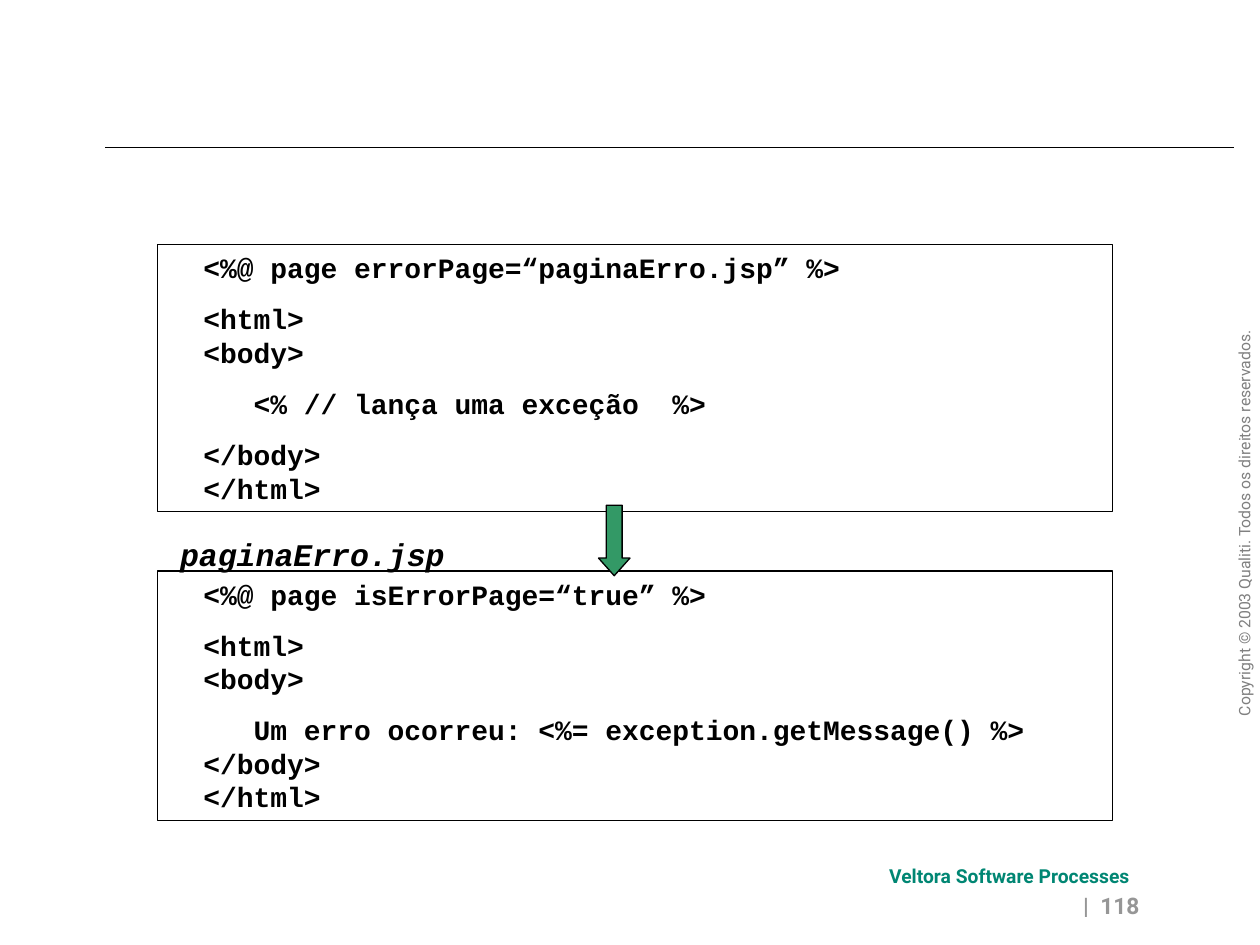
"""Build the slide about error pages in JSP."""
from lxml.etree import SubElement
from pptx import Presentation
from pptx.dml.color import RGBColor
from pptx.enum.shapes import MSO_CONNECTOR as Connector, MSO_SHAPE as Preset
from pptx.enum.text import MSO_AUTO_SIZE as AutoSize, MSO_ANCHOR as Anchor, PP_ALIGN as Align
from pptx.oxml.ns import qn
from pptx.util import Pt

CODE = {"name": "Courier New", "size": Pt(16), "bold": True}
CODE_SPACING = {"line_spacing": Pt(19.2)}
FILE_NAME = {"name": "Courier New", "size": Pt(18), "bold": True, "italic": True}
COPYRIGHT = {"name": "Roboto", "size": Pt(9)}
COMPANY = {"name": "Roboto", "size": Pt(11), "bold": True}
NUMBER = {"name": "Roboto", "size": Pt(13), "bold": True}

THROWING_PAGE = [
    "  <%@ page errorPage=“paginaErro.jsp” %>",
    "  <html>\v  <body>",
    "     <% // lança uma exceção  %>",
    "  </body>\v  </html>",
]
ERROR_PAGE = [
    "  <%@ page isErrorPage=“true” %>",
    "  <html>\v  <body>",
    "     Um erro ocorreu: <%= exception.getMessage() %>\v  </body>\v  </html>",
]


def paint(color, value):
    """Give a colour format its hex value."""
    color.rgb = RGBColor.from_string(value)


def apply(target, values):
    """Set each attribute of the target from a dict."""
    for name, value in values.items():
        setattr(target, name, value)


def outline(shape):
    """Give a shape or connector the thin black line."""
    paint(shape.line.color, "000000")
    shape.line.width = Pt(0.75)


def write(shape, paragraphs, font, color="000000", spacing=None):
    """Fill a shape with formatted paragraphs."""
    frame = shape.text_frame
    apply(frame, {"word_wrap": True, "auto_size": AutoSize.NONE, "vertical_anchor": Anchor.TOP})
    for index, text in enumerate(paragraphs):
        para = frame.add_paragraph() if index else frame.paragraphs[0]
        para.text = text
        apply(para, {"alignment": Align.LEFT, "space_before": Pt(10 if index else 0)})
        apply(para, spacing or {})
        for span in para.runs:
            apply(span.font, font)
            paint(span.font.color, color)


def add_label(page, area, text, font, color="000000", spacing=None):
    """Add a one-line text box."""
    box = page.shapes.add_textbox(*map(Pt, area))
    write(box, [text], font, color, spacing)
    return box


def add_preset(page, preset, area):
    """Add an outlined preset shape without a shadow."""
    shape = page.shapes.add_shape(preset, *map(Pt, area))
    shape.shadow.inherit = False
    shape.fill.background()
    outline(shape)
    return shape


def add_code(page, top, height, paragraphs):
    """Add a framed code listing."""
    box = add_preset(page, Preset.RECTANGLE, (90, top, 545.8, height))
    write(box, paragraphs, CODE, spacing=CODE_SPACING)


def add_rule(page, left, right, top):
    """Add the horizontal rule at the head of the page."""
    rule = page.shapes.add_connector(Connector.STRAIGHT, Pt(right), Pt(top), Pt(left), Pt(top))
    outline(rule)
    SubElement(rule._element.spPr, qn("a:effectLst"))


def add_arrow(page):
    """Add the green arrow from the throwing page to the error page."""
    arrow = add_preset(page, Preset.DOWN_ARROW, (342, 288.7, 18, 40.3))
    arrow.adjustments[0], arrow.adjustments[1] = 0.5, 0.56
    arrow.fill.solid()
    paint(arrow.fill.fore_color, "339966")


def main():
    """Build and save the deck."""
    deck = Presentation()
    apply(deck, {"slide_width": Pt(720), "slide_height": Pt(540)})
    page = deck.slides.add_slide(deck.slide_layouts[6])

    add_rule(page, 59.8, 704.9, 84.2)
    rights = add_label(page, (587.5, 283.7, 247, 18),
                       "Copyright © 2003 Qualiti. Todos os direitos reservados.", COPYRIGHT, "808080")
    rights.rotation = 270
    add_label(page, (501, 490.3, 161.3, 20.9), "Veltora Software Processes", COMPANY, "008673")
    add_label(page, (310.3, 506.2, 347.8, 23.8), "|  118", NUMBER, "969696", {"alignment": Align.RIGHT})

    add_code(page, 326.2, 142.6, ERROR_PAGE)
    add_code(page, 139.7, 152.6, THROWING_PAGE)
    add_arrow(page)
    add_label(page, (95.8, 302.4, 180, 28.8), "paginaErro.jsp", FILE_NAME)
    deck.save("out.pptx")


if __name__ == "__main__":
    main()
